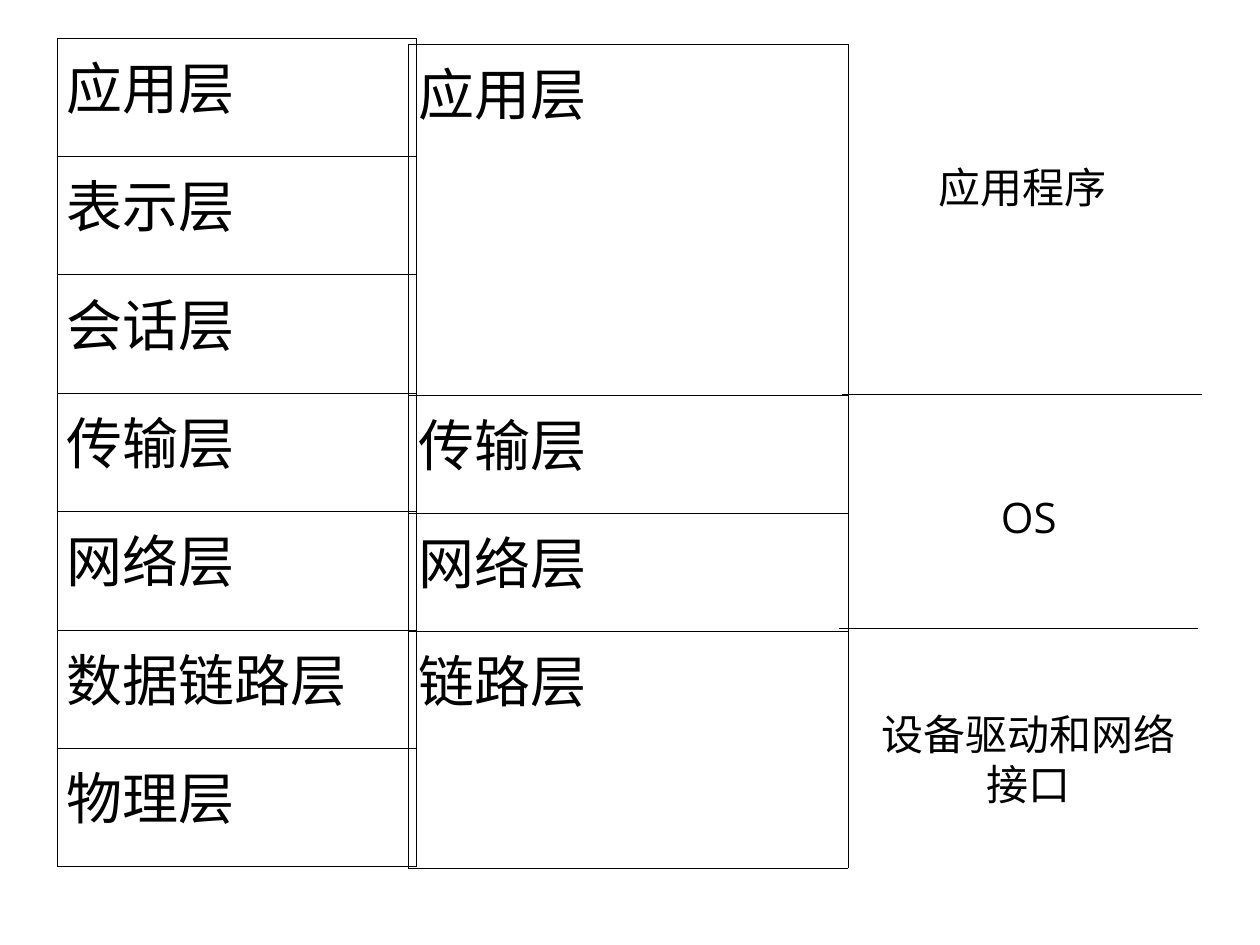
from dataclasses import dataclass

from lxml import etree
from pptx import Presentation
from pptx.dml.color import RGBColor
from pptx.enum.shapes import MSO_CONNECTOR
from pptx.enum.text import MSO_ANCHOR, PP_ALIGN
from pptx.oxml.ns import qn
from pptx.util import Inches, Pt

LINE = MSO_CONNECTOR.STRAIGHT
MIDDLE = MSO_ANCHOR.MIDDLE
CENTER = PP_ALIGN.CENTER


@dataclass(frozen=True)
class Theme:
    ink: str = "000000"
    font: str = "Open Sans"
    layer: int = 32
    label: int = 24
    rule: float = 0.75
    edge: float = 0.23


THEME = Theme()
OSI = ["应用层", "表示层", "会话层", "传输层", "网络层", "数据链路层", "物理层"]
TCP = [("应用层", 2.79), ("传输层", 0.93), ("网络层", 0.94), ("链路层", 1.88)]
SCOPES = [
    ("应用程序", 0, 0),
    ("OS", 0.05, 2.62),
    ("设备驱动和网络接口", 0.05, 4.54),
]
RULES = [(0.02, 2.46, 2.86), (0, 4.32, 2.85)]


def add_run(para, text, size):
    run = para.add_run()
    run.text = text
    run.font.name = THEME.font
    run.font.size = Pt(size)
    run.font.color.rgb = RGBColor.from_string(THEME.ink)


def add_edges(cell):
    props = cell._tc.get_or_add_tcPr()
    for i, side in enumerate(("lnL", "lnR", "lnT", "lnB")):
        edge = etree.Element(qn(f"a:{side}"), w=str(Pt(THEME.edge)))
        fill = etree.SubElement(edge, qn("a:solidFill"))
        etree.SubElement(fill, qn("a:srgbClr"), val=THEME.ink)
        props.insert(i, edge)


def add_stack(slide, left, top, width, rows):
    high = sum(size for _, size in rows)
    frame = slide.shapes.add_table(
        len(rows), 1, Inches(left), Inches(top), Inches(width), Inches(high))
    table = frame.table
    table.first_row = False
    table.horz_banding = False
    for i, (name, size) in enumerate(rows):
        table.rows[i].height = Inches(size)
        cell = table.cell(i, 0)
        cell.margin_left = cell.margin_right = Inches(0.08)
        cell.margin_top = cell.margin_bottom = Inches(0.05)
        cell.fill.background()
        add_edges(cell)
        para = cell.text_frame.paragraphs[0]
        para.space_before = Pt(8)
        add_run(para, name, THEME.layer)


def add_label(slide, left, top, text):
    box = slide.shapes.add_textbox(
        Inches(left), Inches(top), Inches(2.55), Inches(1.62))
    frame = box.text_frame
    frame.word_wrap = True
    frame.vertical_anchor = MIDDLE
    para = frame.paragraphs[0]
    para.alignment = CENTER
    add_run(para, text, THEME.label)


def add_rule(slide, left, top, width):
    x, y = Inches(left), Inches(top)
    rule = slide.shapes.add_connector(LINE, x, y, x + Inches(width), y)
    rule.line.color.rgb = RGBColor.from_string(THEME.ink)
    rule.line.width = Pt(THEME.rule)
    etree.SubElement(rule._element.spPr, qn("a:effectLst"))


def add_scopes(slide, left, top):
    for x, y, width in RULES:
        add_rule(slide, left + x, top + y, width)
    for text, x, y in SCOPES:
        add_label(slide, left + 0.18 + x, top + y, text)


def main():
    deck = Presentation()
    deck.slide_width = Inches(10)
    deck.slide_height = Inches(7.5)
    slide = deck.slides.add_slide(deck.slide_layouts[6])
    add_stack(slide, 3.24, 0.35, 3.49, TCP)
    add_stack(slide, 0.45, 0.3, 2.85, [(name, 0.94) for name in OSI])
    add_scopes(slide, 6.66, 0.67)
    deck.save("out.pptx")


if __name__ == "__main__":
    main()
